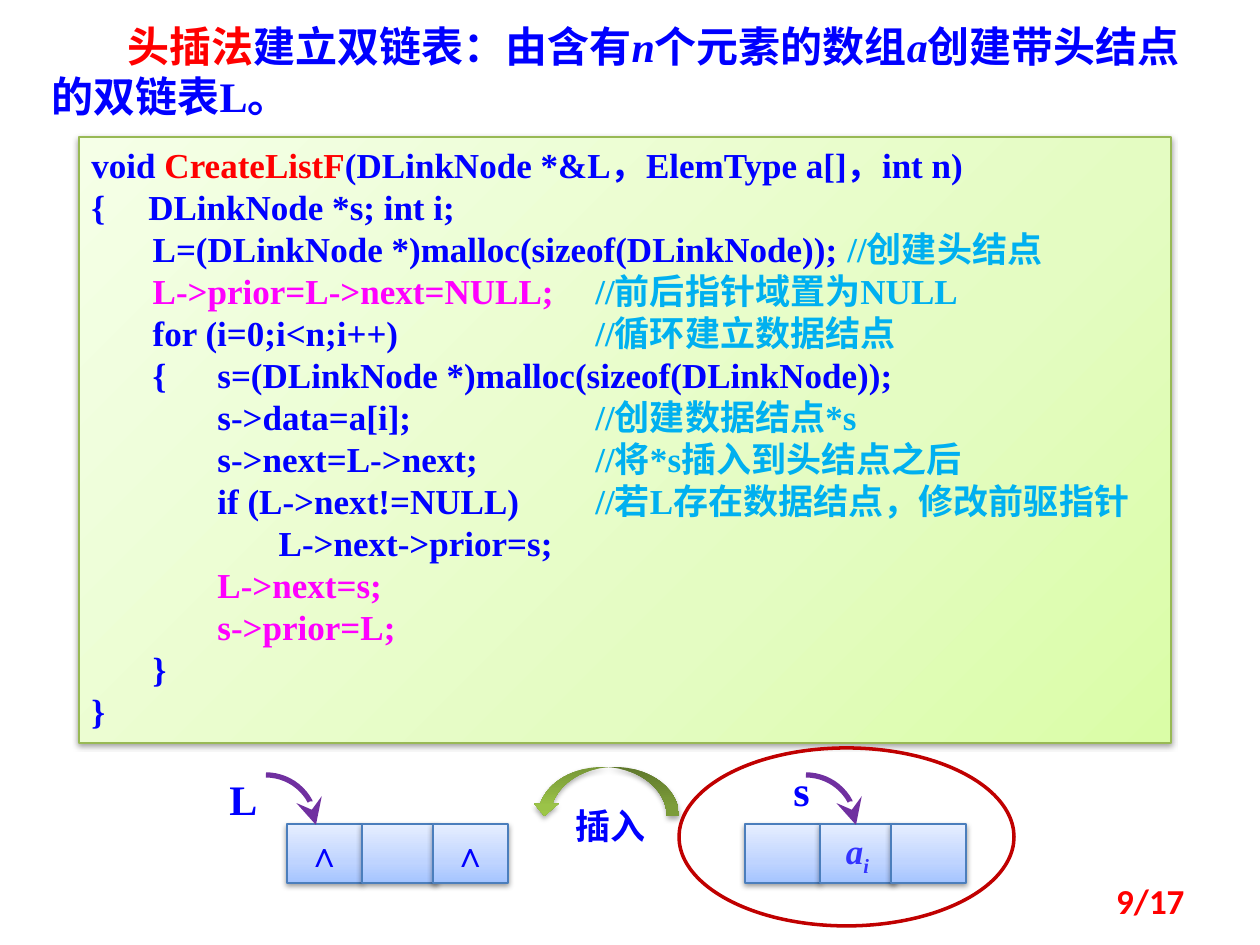
import math

import pptx
import pptx.dml.color
import pptx.enum.shapes
import pptx.enum.text
import pptx.oxml
import pptx.oxml.ns
import pptx.util

SCALE = 914400 // 126
SERIF, CHINESE, SANS = "Times New Roman", "Noto Sans CJK SC", "Calibri"
BLUE, RED, PINK, SKY, VIOLET = "0000FF", "FF0000", "FF00FF", "00B0F0", "3333FF"

TITLE = [
    ("头插法", RED), ("建立双链表：由含有", BLUE), ("n", BLUE, "italic"),
    ("个元素的数组", BLUE), ("a", BLUE, "italic"), ("创建带头结点的双链表L。", BLUE),
]
CODE = [
    [("void ", BLUE), ("CreateListF", RED), ("(DLinkNode *&L，ElemType a[]，int n)", BLUE)],
    [("{　 DLinkNode *s; int i;", BLUE)],
    [("       L=(DLinkNode *)malloc(sizeof(DLinkNode));\t", BLUE), ("//创建头结点", SKY)],
    [("       L->prior=L->next=NULL;\t", PINK), ("//前后指针域置为NULL", SKY)],
    [("       for (i=0;i<n;i++)\t\t", BLUE), ("//循环建立数据结点", SKY)],
    [("       {\ts=(DLinkNode *)malloc(sizeof(DLinkNode));", BLUE)],
    [("\ts->data=a[i];\t\t", BLUE), ("//创建数据结点*s", SKY)],
    [("\ts->next=L->next;\t", BLUE), ("//将*s插入到头结点之后", SKY)],
    [("\tif (L->next!=NULL)\t", BLUE), ("//若L存在数据结点，修改前驱指针", SKY)],
    [("  \t       L->next->prior=s;", BLUE)],
    [("\tL->next=s;", PINK)],
    [("\ts->prior=L;", PINK)],
    [("       }", BLUE)],
    [("}", BLUE)],
]
NULL_MARK = [("∧", BLUE)]
NODES = [
    {"left": 287, "cells": [NULL_MARK, [], NULL_MARK],
     "label": "L", "label_at": (217, 767), "arc_left": 266},
    {"left": 745, "cells": [[], [("a", VIOLET, "italic"), ("i", VIOLET, "italic", "sub")], []],
     "label": "s", "label_at": (781, 758), "arc_left": 806},
]
CELL_OFFSETS = (0, 75, 146)
CELL_TOP, CELL_WIDTH, CELL_HEIGHT = 824, 75, 59
ARC_TOP, ARC_RADIUS, ARC_STEPS = 775, 50, 16

CODE_STOPS = [(0, "DAFDA7"), (35, "E4FCC2"), (100, "F5FFE7")]
CELL_STOPS = [(0, "A4C4FF"), (35, "BFD4FF"), (100, "E6EEFF")]
ARROW_STOPS = [(0, "779737"), (80, "9BC348"), (100, "9DC746")]
CORNER = '<a:path path="circle"><a:fillToRect l="100000" t="100000"/></a:path>'
UPWARD = '<a:lin ang="16200000" scaled="0"/>'

SHAPES = pptx.enum.shapes.MSO_SHAPE
ALIGN = pptx.enum.text.PP_ALIGN
ANCHOR = pptx.enum.text.MSO_ANCHOR


def px(*values):
    return [round(value * SCALE) for value in values]


def color(value):
    return pptx.dml.color.RGBColor.from_string(value)


def xml(tag, attributes="", inner=""):
    return pptx.oxml.parse_xml(
        f'<a:{tag} {pptx.oxml.ns.nsdecls("a")} {attributes}>{inner}</a:{tag}>')


def write(frame, lines, size, align=ALIGN.LEFT, anchor=ANCHOR.TOP, wrap=True, font=SERIF):
    frame.word_wrap = wrap
    frame.vertical_anchor = anchor
    for index, line in enumerate(lines):
        paragraph = frame.paragraphs[0] if index == 0 else frame.add_paragraph()
        paragraph.alignment = align
        for text, ink, *styles in line:
            run = paragraph.add_run()
            run.text = text
            run.font.name = font
            run.font.size = pptx.util.Pt(size)
            run.font.bold = True
            run.font.italic = "italic" in styles
            run.font.color.rgb = color(ink)
            properties = run._r.get_or_add_rPr()
            properties.append(xml("ea", f'typeface="{CHINESE}"'))
            if "sub" in styles:
                properties.set("baseline", "-25000")


def add_text(shapes, box, lines, size, **options):
    write(shapes.add_textbox(*px(*box)).text_frame, lines, size, **options)


def add_box(shapes, kind, box, stops=None, direction=UPWARD, line=None, width=0.75,
            shadow=None):
    shape = shapes.add_shape(kind, *px(*box))
    properties = shape._element.spPr
    if stops:
        colors = "".join(f'<a:gs pos="{position * 1000}"><a:srgbClr val="{value}"/></a:gs>'
                         for position, value in stops)
        properties.insert(2, xml("gradFill", 'rotWithShape="1"',
                                 f"<a:gsLst>{colors}</a:gsLst>{direction}"))
    else:
        shape.fill.background()
    if line:
        shape.line.color.rgb = color(line)
        shape.line.width = pptx.util.Pt(width)
    else:
        shape.line.fill.background()
    shape.shadow.inherit = False
    if shadow:
        distance, alpha = shadow
        properties.find(pptx.oxml.ns.qn("a:effectLst")).append(xml(
            "outerShdw",
            f'blurRad="40000" dist="{distance}" dir="5400000" rotWithShape="0"',
            f'<a:srgbClr val="000000"><a:alpha val="{alpha}"/></a:srgbClr>'))
    return shape


def add_pointer(shapes, left):
    angles = [math.pi / 2 * step / ARC_STEPS for step in range(ARC_STEPS + 1)]
    points = [px(left + ARC_RADIUS * math.sin(angle),
                 ARC_TOP + ARC_RADIUS * (1 - math.cos(angle))) for angle in angles]
    builder = shapes.build_freeform(*points[0])
    builder.add_line_segments(points[1:], close=False)
    pointer = builder.convert_to_shape()
    pointer.fill.background()
    pointer.line.color.rgb = color("7030A0")
    pointer.line.width = pptx.util.Pt(3)
    pointer.line._get_or_add_ln().append(xml("tailEnd", 'type="stealth" w="lg" len="lg"'))
    pointer.shadow.inherit = False


def add_node(slide, node):
    shapes = slide.shapes.add_group_shape().shapes
    for offset, content in zip(CELL_OFFSETS, node["cells"]):
        cell = add_box(shapes, SHAPES.RECTANGLE,
                       (node["left"] + offset, CELL_TOP, CELL_WIDTH, CELL_HEIGHT),
                       CELL_STOPS, line="4B7EBC", shadow=(20000, 38000))
        if content:
            write(cell.text_frame, [content], 20, ALIGN.CENTER, ANCHOR.MIDDLE, wrap=False)
    add_pointer(shapes, node["arc_left"])
    add_text(shapes, (*node["label_at"], 59, 63), [[(node["label"], BLUE)]], 24)


def add_code(slide):
    box = add_box(slide.shapes, SHAPES.RECTANGLE, (79, 137, 1092, 606), CODE_STOPS, CORNER,
                  line="98B955", shadow=(20000, 38000))
    write(box.text_frame, CODE, 20)
    tabs = "".join(f'<a:tab pos="{inch * 914400}" algn="l"/>' for inch in range(1, 8))
    for paragraph in box.text_frame.paragraphs:
        paragraph._p.get_or_add_pPr().append(xml("tabLst", inner=tabs))


def add_title(slide):
    title = slide.shapes.title
    title.left, title.top, title.width, title.height = px(39, 14, 1162, 115)
    write(title.text_frame, [TITLE], 24)
    title.text_frame.auto_size = pptx.enum.text.MSO_AUTO_SIZE.NONE
    properties = title.text_frame.paragraphs[0]._p.get_or_add_pPr()
    properties.set("marL", "0")
    properties.set("indent", str(px(76)[0]))


def add_insertion(slide):
    shapes = slide.shapes.add_group_shape().shapes
    add_box(shapes, SHAPES.OVAL, (679, 748, 335, 178), line="C00000", width=2)
    arrow = add_box(shapes, SHAPES.CURVED_UP_ARROW, (532, 767, 147, 49), ARROW_STOPS,
                    shadow=(23000, 35000))
    arrow.rotation = 180
    add_text(shapes, (542, 798, 137, 55), [[("插入", BLUE)]], 20,
             align=ALIGN.CENTER, font=CHINESE)


def main():
    presentation = pptx.Presentation()
    presentation.slide_width = pptx.util.Inches(10)
    presentation.slide_height = pptx.util.Inches(7.5)
    slide = presentation.slides.add_slide(presentation.slide_layouts[5])
    add_code(slide)
    add_title(slide)
    for node in NODES:
        add_node(slide, node)
    add_insertion(slide)
    add_text(slide.shapes, (903, 876, 294, 50), [[("9/17", RED)]], 20,
             align=ALIGN.RIGHT, anchor=ANCHOR.MIDDLE, font=SANS)
    presentation.save("out.pptx")


if __name__ == "__main__":
    main()
